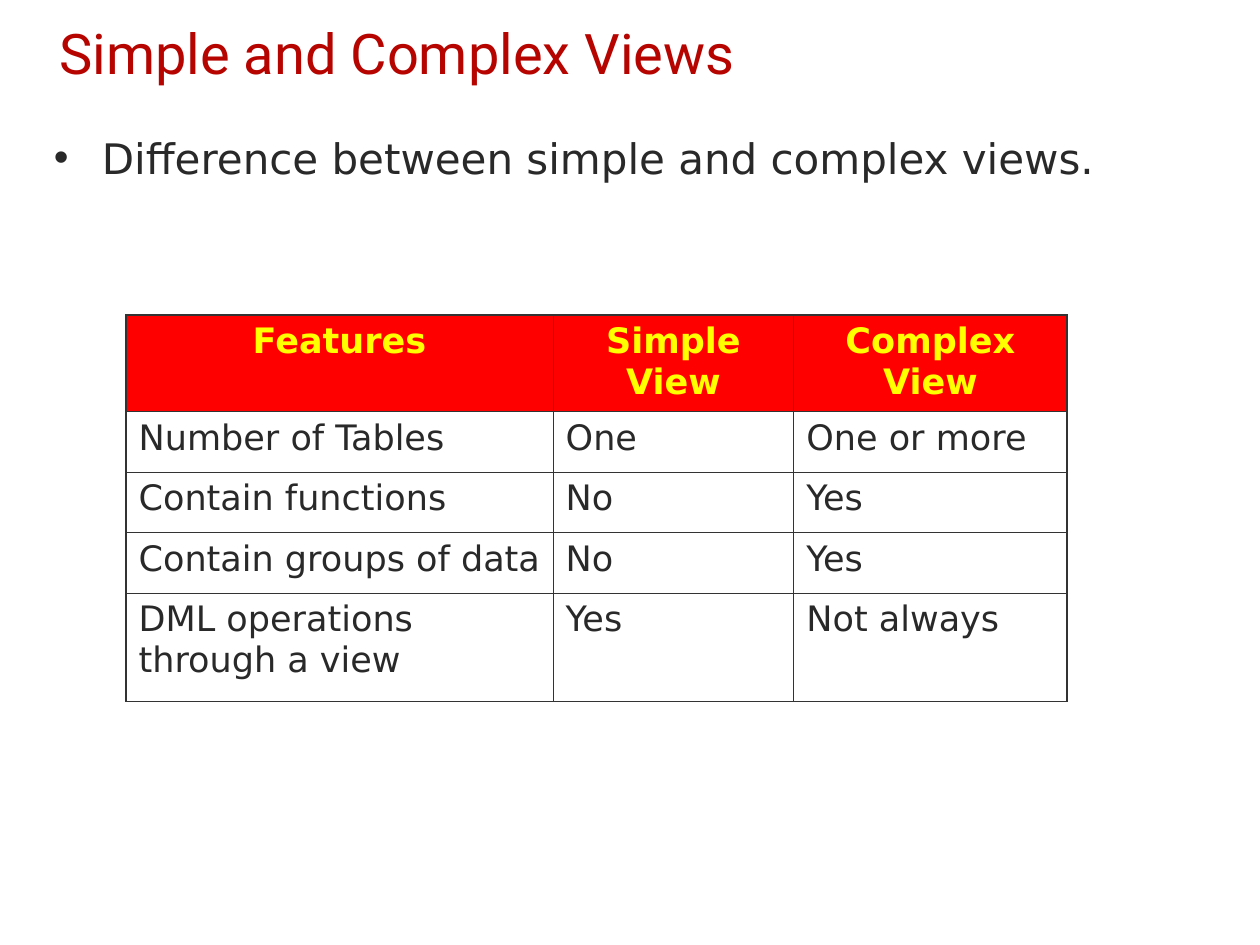
from dataclasses import dataclass

from lxml.etree import SubElement
from pptx import Presentation
from pptx.dml.color import RGBColor as Rgb
from pptx.enum.text import MSO_ANCHOR as Anchor, PP_ALIGN as Align
from pptx.oxml import parse_xml
from pptx.oxml.ns import nsdecls, qn
from pptx.util import Inches, Pt


@dataclass(frozen=True)
class Theme:
    title: str = "B60400"
    text: str = "292929"
    head: str = "FFFF00"
    fill: str = "FF0000"
    line: str = "333333"
    title_font: str = "Roboto"
    font: str = "DejaVu Sans"
    title_size: int = 32
    body_size: int = 24
    cell_size: int = 20
    thin: float = 0.45
    thick: float = 1.08


THEME = Theme()
COLS = [3.39, 1.91, 2.17]
ROWS = [0.52, 0.48, 0.48, 0.48, 0.86]
CELLS = [
    ["Features", "Simple View", "Complex View"],
    ["Number of Tables", "One", "One or more"],
    ["Contain functions", "No", "Yes"],
    ["Contain groups of data", "No", "Yes"],
    ["DML operations through a view", "Yes", "Not always"],
]


def style(para, font, size, color, bold=False):
    for run in para.runs:
        run.font.name = font
        run.font.size = Pt(size)
        run.font.bold = bold
        run.font.color.rgb = Rgb.from_string(color)


def border(cell, widths):
    """Draw the cell edges; they must stand before the fill."""
    props = cell._tc.get_or_add_tcPr()
    for i, (side, width) in enumerate(zip("LRTB", widths)):
        props.insert(i, parse_xml(
            f'<a:ln{side} {nsdecls("a")} w="{Pt(width)}"><a:solidFill>'
            f'<a:srgbClr val="{THEME.line}"/></a:solidFill></a:ln{side}>'))


def add_title(slide, left, top, width, height):
    title = slide.shapes.title
    title.left, title.top = Inches(left), Inches(top)
    title.width, title.height = Inches(width), Inches(height)
    frame = title.text_frame
    frame.text = "Simple and Complex Views"
    frame.vertical_anchor = Anchor.MIDDLE
    para = frame.paragraphs[0]
    para.alignment = Align.LEFT
    style(para, THEME.title_font, THEME.title_size, THEME.title)


def add_point(slide, left, top, width, height):
    box = slide.shapes.add_textbox(
        Inches(left), Inches(top), Inches(width), Inches(height))
    frame = box.text_frame
    frame.word_wrap = True
    frame.text = "Difference between simple and complex views."
    para = frame.paragraphs[0]
    para.alignment = Align.JUSTIFY
    # Hanging bullet
    props = para._p.get_or_add_pPr()
    props.set("marL", str(Inches(0.38)))
    props.set("indent", str(Inches(-0.38)))
    color = SubElement(props, qn("a:buClr"))
    SubElement(color, qn("a:srgbClr"), val=THEME.text)
    SubElement(props, qn("a:buFont"), typeface="Arial")
    SubElement(props, qn("a:buChar"), char="•")
    style(para, THEME.font, THEME.body_size, THEME.text)


def fill_cell(cell, text, head):
    cell.text = text
    para = cell.text_frame.paragraphs[0]
    if head:
        cell.fill.solid()
        cell.fill.fore_color.rgb = Rgb.from_string(THEME.fill)
        para.alignment = Align.CENTER
    else:
        cell.fill.background()
    color = THEME.head if head else THEME.text
    style(para, THEME.font, THEME.cell_size, color, head)


def add_grid(slide, left, top):
    table = slide.shapes.add_table(
        len(ROWS), len(COLS), Inches(left), Inches(top),
        Inches(sum(COLS)), Inches(sum(ROWS))).table
    table.horz_banding = False
    for col, width in zip(table.columns, COLS):
        col.width = Inches(width)
    for row, height in zip(table.rows, ROWS):
        row.height = Inches(height)
    last_r, last_c = len(ROWS) - 1, len(COLS) - 1
    for r, texts in enumerate(CELLS):
        for c, text in enumerate(texts):
            cell = table.cell(r, c)
            fill_cell(cell, text, r == 0)
            # Thick lines on the outer edge only
            outer = (c == 0, c == last_c, r == 0, r == last_r)
            border(cell, [THEME.thick if o else THEME.thin for o in outer])


def main():
    deck = Presentation()
    deck.slide_width, deck.slide_height = Inches(10), Inches(7.5)
    slide = deck.slides.add_slide(deck.slide_layouts.get_by_name("Title Only"))
    add_title(slide, 0.37, 0, 9.25, 0.83)
    add_point(slide, 0.33, 1, 9.25, 0.83)
    add_grid(slide, 1, 2.5)
    deck.save("out.pptx")


if __name__ == "__main__":
    main()
